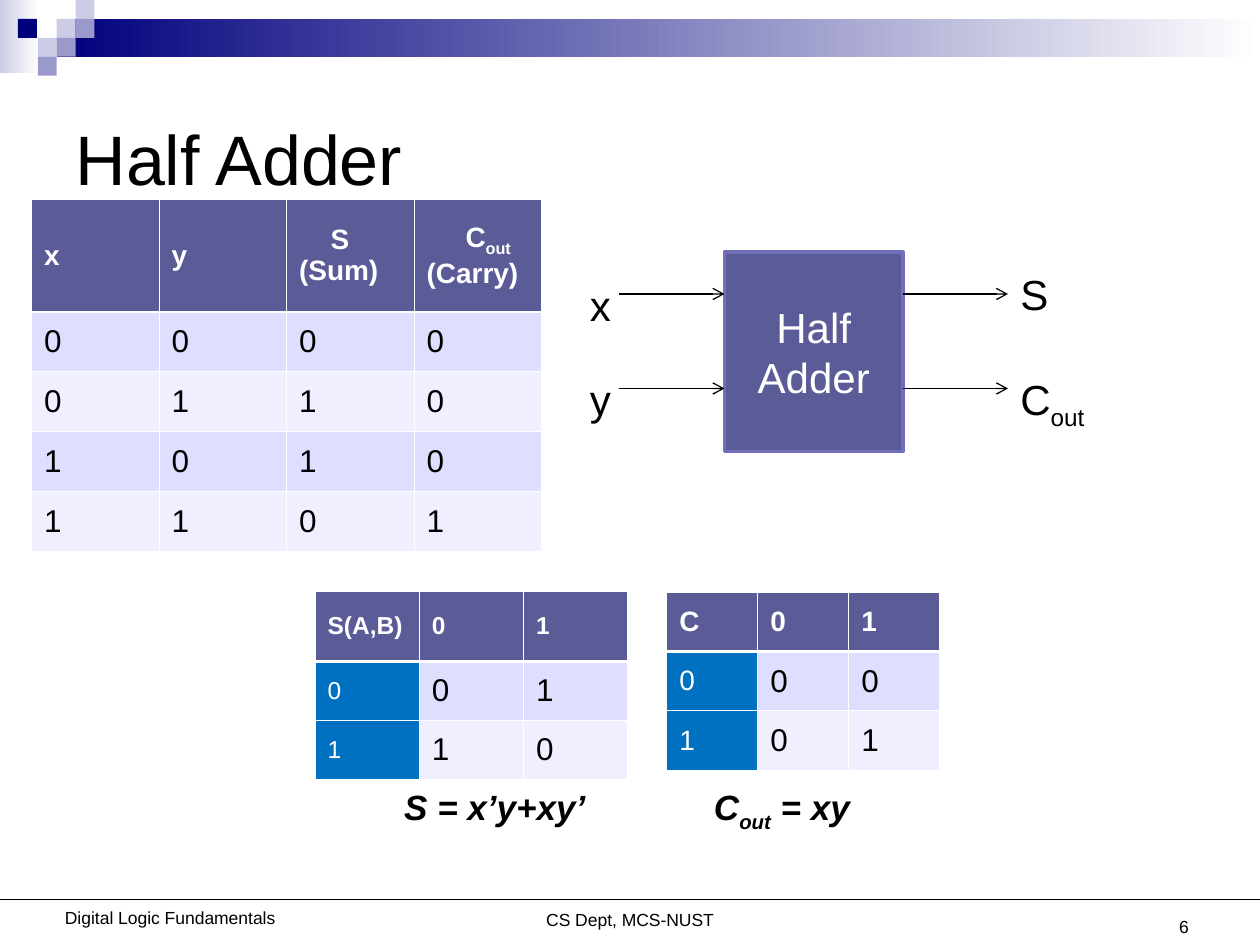
from lxml.etree import SubElement
from pptx import Presentation
from pptx.dml.color import RGBColor
from pptx.enum.shapes import MSO_CONNECTOR as Link, MSO_SHAPE as Shape
from pptx.enum.text import MSO_ANCHOR as Anchor, PP_ALIGN as Align
from pptx.oxml import parse_xml
from pptx.oxml.ns import nsdecls, qn
from pptx.util import Inches, Pt

BLACK = RGBColor(0, 0, 0)
WHITE = RGBColor(255, 255, 255)
NAVY = RGBColor(0x00, 0x00, 0x7D)
PALE = RGBColor(0xCC, 0xCC, 0xE6)
LILAC = RGBColor(0x99, 0x99, 0xCC)
HEAD = RGBColor(0x5B, 0x5B, 0x98)
EDGE = RGBColor(0x6F, 0x6F, 0xBC)
KEY = RGBColor(0x00, 0x70, 0xC0)
BANDS = (RGBColor(0xDE, 0xDE, 0xFF), RGBColor(0xEF, 0xEF, 0xFF))

COLS, ROWS = 120, 90  # square grid, 12 units to the inch


def unit(n):
    return Inches(n / 12)


def write(par, text, size, color=BLACK, bold=False, italic=False):
    """Fill a paragraph; parts between underscores are subscripts."""
    for i, part in enumerate(text.split("_")):
        run = par.add_run()
        run.text = part
        font = run.font
        font.name, font.size = "Arial", Pt(size)
        font.bold, font.italic = bold, italic
        font.color.rgb = color
        if i % 2:
            run._r.get_or_add_rPr().set("baseline", "-25000")


def label(slide, box, text, size, align=Align.LEFT, anchor=Anchor.TOP, **style):
    frame = slide.shapes.add_textbox(*map(unit, box)).text_frame
    frame.word_wrap = True
    frame.vertical_anchor = anchor
    par = frame.paragraphs[0]
    par.alignment = align
    write(par, text, size, **style)
    return frame


def block(slide, box, color, fade=False):
    """Add a borderless rectangle, plain or fading to white."""
    rect = slide.shapes.add_shape(Shape.RECTANGLE, *map(unit, box))
    rect.shadow.inherit = False
    rect.line.fill.background()
    if fade:
        rect.fill.gradient()
        rect.fill.gradient_angle = 0
        for stop, tint in zip(rect.fill.gradient_stops, (color, WHITE)):
            stop.color.rgb = tint
    else:
        rect.fill.solid()
        rect.fill.fore_color.rgb = color
    return rect


def rule(slide, x, y, end, arrow=False):
    line = slide.shapes.add_connector(
        Link.STRAIGHT, unit(x), unit(y), unit(end), unit(y))
    line.line.color.rgb = BLACK
    line.line.width = Pt(0.75)
    SubElement(line._element.spPr, qn("a:effectLst"))
    if arrow:
        SubElement(line.line._get_or_add_ln(), qn("a:tailEnd"), type="arrow")


def banner(slide, box):
    x, y, wide, high = box
    step = high / 4
    block(slide, (x, y, 3.7, 7), PALE, fade=True)
    block(slide, (x + 3 * step, y + step, wide - 3 * step, 2 * step), NAVY, fade=True)
    tiles = ((3, 1, PALE), (4, 0, PALE), (4, 1, LILAC), (2, 2, PALE),
             (0.95, 1, NAVY), (3, 2, LILAC), (2, 3, LILAC))
    for col, row, color in tiles:
        block(slide, (x + col * step, y + row * step, step, step), color)


def footer(slide, box):
    x, y, wide, high = box
    for left, top, span, text in ((4.2, 0, 24, "Digital Logic Fundamentals"),
                                  (35, 0.2, 50, "CS Dept, MCS-NUST")):
        frame = label(slide, (x + left, y + top, span, 6), text, 10, Align.CENTER)
        frame.margin_top = unit(4.4)
    rule(slide, x, y + 3.7, x + wide)
    label(slide, (x + 86.4, y + 1.8, 28, 6), "6", 10, Align.RIGHT, Anchor.BOTTOM)


def border(cell, row):
    """White cell edges, thicker below the heading row."""
    props = cell._tc.get_or_add_tcPr()
    heavy = {"T": 1, "B": 0}
    for i, side in enumerate("LRTB"):
        width = Pt(1.47 if heavy.get(side) == row else 0.45)
        props.insert(i, parse_xml(
            f'<a:ln{side} {nsdecls("a")} w="{width}"><a:solidFill>'
            f'<a:srgbClr val="{WHITE}"/></a:solidFill></a:ln{side}>'))


def grid(slide, box, rows, heights, size, keyed=False, indents=()):
    """Add a table; keyed colours its first column as row headings."""
    frame = slide.shapes.add_table(len(rows), len(rows[0]), *map(unit, box))
    table = frame.table
    for col in table.columns:
        col.width = unit(box[2] / len(rows[0]))
    for r, (texts, high) in enumerate(zip(rows, heights)):
        table.rows[r].height = unit(high)
        for c, text in enumerate(texts):
            cell = table.cell(r, c)
            cell.vertical_anchor = Anchor.MIDDLE
            head, key = r == 0, keyed and c == 0
            cell.fill.solid()
            cell.fill.fore_color.rgb = HEAD if head else KEY if key else BANDS[(r - 1) % 2]
            border(cell, r)
            par = cell.text_frame.paragraphs[0]
            if head and c < len(indents):
                par._p.get_or_add_pPr().set("indent", str(unit(indents[c])))
            if head or key:
                write(par, text, size, WHITE, bold=head)
            else:
                write(par, text, 18)


def adder(slide, box):
    """Draw the block with its inputs on the left and outputs on the right."""
    x, y, wide, high = box
    rect = block(slide, box, HEAD)
    rect.line.color.rgb = EDGE
    rect.line.width = Pt(2)
    frame = rect.text_frame
    frame.vertical_anchor = Anchor.MIDDLE
    for par, word in zip((frame.paragraphs[0], frame.add_paragraph()), ("Half", "Adder")):
        par.alignment = Align.CENTER
        write(par, word, 24, WHITE)
    right = x + wide
    for row in (4, 13):
        for start in (x - 10, right):
            rule(slide, start, y + row, start + 10, arrow=True)
    for left, top, span, text in ((x - 14, 2, 4, "x"), (x - 14, 11, 4, "y"),
                                  (right + 10, 1, 4, "S"),
                                  (right + 10, 11, 12.7, "C_out_")):
        label(slide, (left, y + top, span, 6), text, 24)


def formulas(slide, box):
    frame = label(slide, box, "S = x’y+xy’\tC_out_ = xy", 20, bold=True, italic=True)
    frame.margin_left, frame.margin_right = unit(7.2), 0
    tabs = SubElement(frame.paragraphs[0]._p.get_or_add_pPr(), qn("a:tabLst"))
    SubElement(tabs, qn("a:tab"), pos=str(unit(29.5)), algn="l")


def heading(slide, box, text):
    title = slide.shapes.title
    title.left, title.top, title.width, title.height = map(unit, box)
    frame = title.text_frame
    frame.vertical_anchor = Anchor.MIDDLE
    frame.paragraphs[0].alignment = Align.LEFT
    write(frame.paragraphs[0], text, 40)


def main():
    deck = Presentation()
    deck.slide_width, deck.slide_height = unit(COLS), unit(ROWS)
    slide = deck.slides.add_slide(deck.slide_layouts[5])
    banner(slide, (0, 0, COLS, 7.2))
    footer(slide, (0, 82, COLS, 8))
    heading(slide, (6, 6, 108, 18), "Half Adder")
    truth = [["x", "y", "S (Sum)", "C_out_ (Carry)"]]
    for x, y in ((0, 0), (0, 1), (1, 0), (1, 1)):
        truth.append([str(n) for n in (x, y, x ^ y, x & y)])
    grid(slide, (3, 19, 48.6, 33.5), truth, [10.7] + [5.7] * 4, 16, indents=(0, 0, 3, 3.7))
    adder(slide, (69, 24, 17, 19))
    grid(slide, (30, 56.3, 29.8, 17.9), ["S(A,B) 0 1".split(), "001", "110"],
         (6.7, 5.6, 5.6), 14, keyed=True)
    grid(slide, (63.5, 56.4, 26, 17), ["C01", "000", "101"], [5.65] * 3, 16, keyed=True)
    formulas(slide, (31.3, 74.2, 50.9, 5.8))
    deck.save("out.pptx")


if __name__ == "__main__":
    main()
